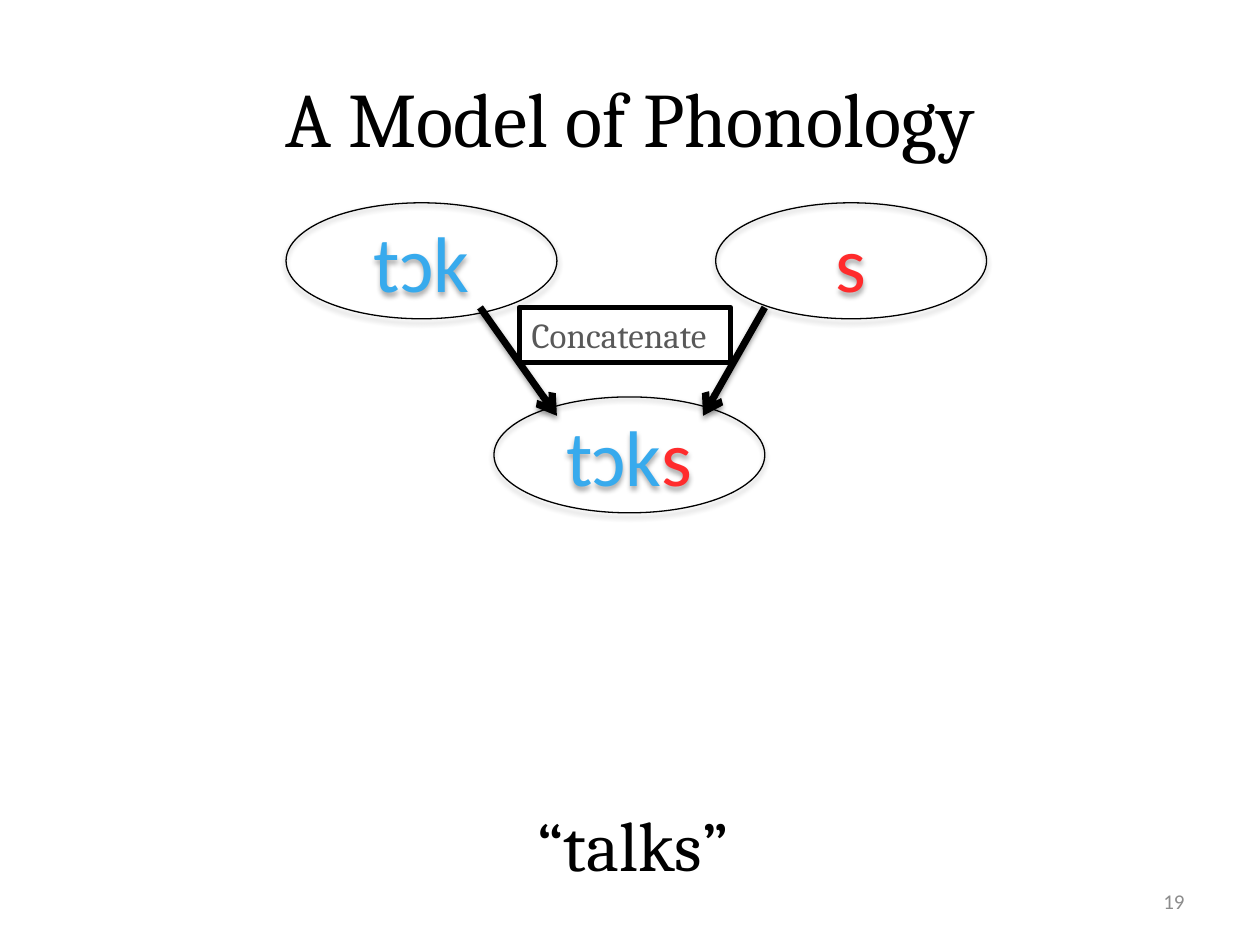
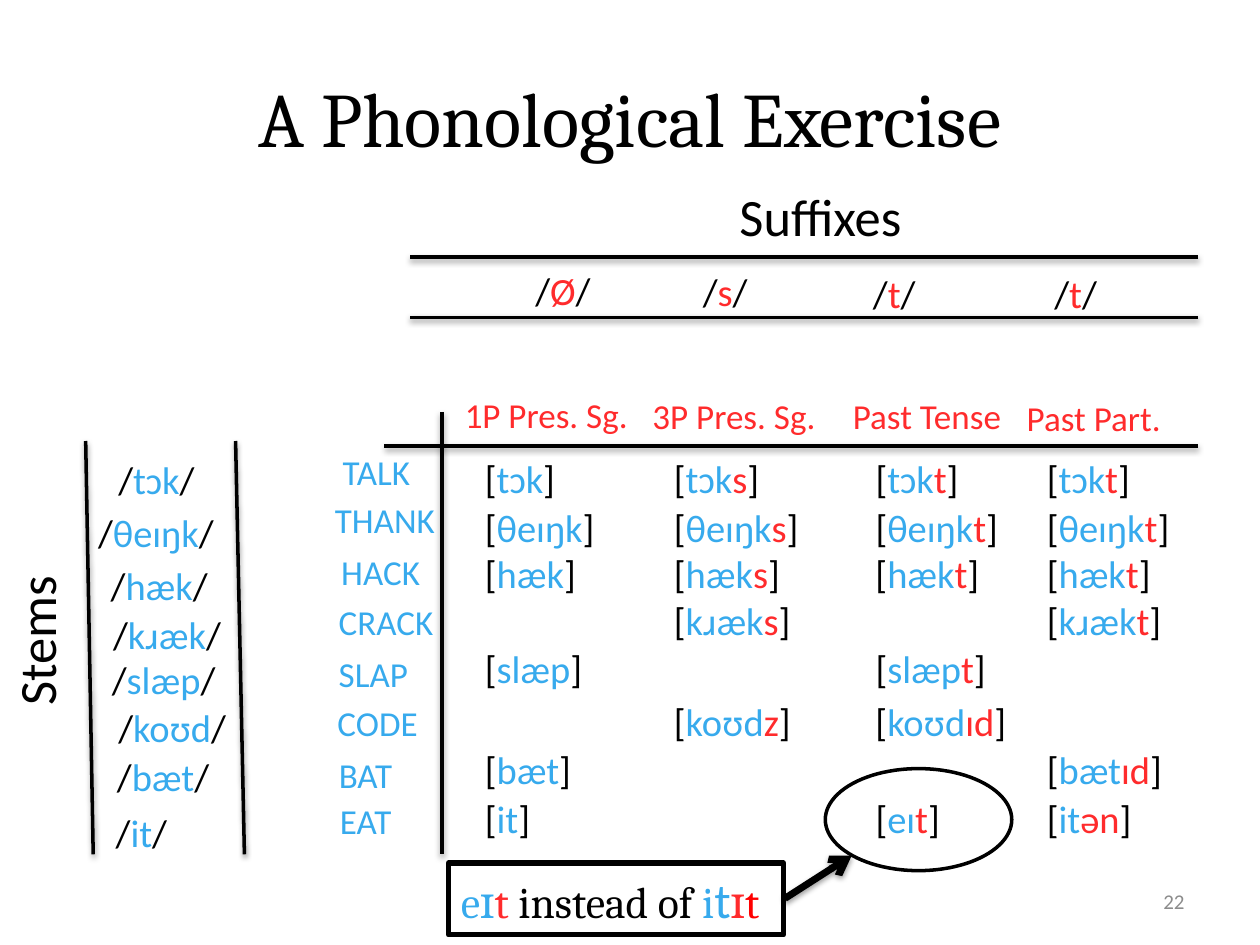
from dataclasses import dataclass
from pptx import Presentation
from pptx.dml.color import RGBColor
from pptx.enum.shapes import MSO_CONNECTOR, MSO_SHAPE
from pptx.enum.text import MSO_ANCHOR, MSO_AUTO_SIZE, PP_ALIGN
from pptx.oxml.ns import qn
from pptx.util import Inches, Pt
from lxml.etree import SubElement


@dataclass(frozen=True)
class Theme:
    ink: str = "000000"
    stem: str = "37AAED"
    end: str = "FF2B2C"
    pure: str = "FF0000"
    gray: str = "595959"
    pale: str = "8C8C8C"
    paper: str = "FFFFFF"
    serif: str = "Cambria"
    sans: str = "Calibri"
    title: int = 44
    sound: int = 45
    quote: int = 40
    head: int = 30
    note: int = 25
    big: int = 28
    cell: int = 22
    label: int = 20
    foot: int = 12
    hair: float = 0.75
    rule: int = 2
    frame: int = 3
    arrow: int = 4


look = Theme()
deck = Presentation()
deck.slide_width, deck.slide_height = Inches(10), Inches(7.5)
unit = deck.slide_width / 100


def text(page, box, runs, size=look.cell, face=look.sans, align=PP_ALIGN.LEFT,
         anchor=MSO_ANCHOR.TOP, grow=True, wrap=False, form=None, fill=None,
         edge=None, shade=True, indent=0, turn=0):
    place = [round(n * unit) for n in box]
    if form is None:
        shape = page.shapes.add_textbox(*place)
    else:
        shape = page.shapes.add_shape(form, *place)
        if not shade:
            shape.shadow.inherit = False
    shape.rotation = turn
    if fill:
        shape.fill.solid()
        shape.fill.fore_color.rgb = RGBColor.from_string(fill)
    else:
        shape.fill.background()
    if edge:
        shape.line.color.rgb = RGBColor.from_string(look.ink)
        shape.line.width = Pt(edge)
    frame = shape.text_frame
    frame.word_wrap = wrap
    frame.auto_size = MSO_AUTO_SIZE.SHAPE_TO_FIT_TEXT if grow else MSO_AUTO_SIZE.NONE
    frame.vertical_anchor = anchor
    para = frame.paragraphs[0]
    para.alignment = align
    if indent:
        para._p.get_or_add_pPr().set("marL", str(round(indent * unit)))
    for words, tint, *other in runs:
        run = para.add_run()
        run.text = words
        run.font.size = Pt(other[0] if other else size)
        run.font.name = other[1] if other else face
        run.font.color.rgb = RGBColor.from_string(tint)


def line(page, ends, width=look.rule, arrow=False):
    link = page.shapes.add_connector(MSO_CONNECTOR.STRAIGHT, *[round(n * unit) for n in ends])
    link.line.color.rgb = RGBColor.from_string(look.ink)
    link.line.width = Pt(width)
    if arrow:
        SubElement(link.line._get_or_add_ln(), qn("a:tailEnd"), type="arrow")


pages = []
for title, number in [("A Model of Phonology", "19"), ("A Phonological Exercise", "22")]:
    page = deck.slides.add_slide(deck.slide_layouts[6])
    text(page, (5, 3, 90, 12.5), [(title, look.ink)], size=look.title, face=look.serif,
         align=PP_ALIGN.CENTER, anchor=MSO_ANCHOR.MIDDLE, grow=False, wrap=True)
    text(page, (71.7, 69.5, 23.3, 4), [(number, look.pale)], size=look.foot,
         align=PP_ALIGN.RIGHT, anchor=MSO_ANCHOR.MIDDLE, grow=False, wrap=True)
    pages.append(page)
model, drill = pages

root, tail = ("tɔk", look.stem), ("s", look.end)
for left, top, runs in [(22.7, 16.1, [root]), (56.8, 16.1, [tail]), (39.2, 31.5, [root, tail])]:
    text(model, (left, top, 21.5, 9.2), runs, size=look.sound, form=MSO_SHAPE.OVAL,
         edge=look.hair, align=PP_ALIGN.CENTER, anchor=MSO_ANCHOR.MIDDLE, grow=False, wrap=True)
for start, stop in [(60.7, 55.8), (38.1, 44.2)]:
    line(model, (start, 24.4, stop, 33), width=look.arrow, arrow=True)
text(model, (41.2, 24.4, 16.8, 4.4), [("Concatenate", look.gray)], size=look.label,
     face=look.serif, fill=look.paper, edge=look.frame)
text(model, (41.7, 63.1, 17.7, 7.7), [("“talks”", look.ink)], size=look.quote, face=look.serif)

for ends in [(35.1, 32.7, 35.1, 67.8), (95.1, 35.4, 30.5, 35.4), (95.1, 25.2, 32.5, 25.2),
             (95.1, 20.4, 32.5, 20.4), (18.7, 35, 19.4, 67.8), (6.8, 35, 7.4, 67.8)]:
    line(drill, ends)
text(drill, (57.7, 14.1, 15.1, 6.1), [("Suffixes", look.ink)], size=look.head)
text(drill, (-3.6, 47.5, 12.9, 6.1), [("Stems", look.ink)], size=look.head, turn=270)

heads = [("1P Pres. Sg.", 35.9, 30.7, 15.1), ("3P Pres. Sg.", 50.8, 30.8, 15.1),
         ("Past Tense", 66.7, 30.8, 14.2), ("Past Part.", 80.5, 31, 12.9)]
for words, left, top, width in heads:
    text(drill, (left, top, width, 4.4), [(words, look.end)], size=look.label)

marks = [("Ø", 36.5, 20.7, 13.5, 5), ("s", 54.8, 20.8, 6.9, 0),
         ("t", 68.3, 20.9, 6.7, 0), ("t", 82.7, 20.9, 6.7, 0)]
for mark, left, top, width, indent in marks:
    text(drill, (left, top, width, 4.7),
         [("/", look.ink), (mark, look.end), ("/", look.ink)], wrap=True, indent=indent)

widths = {"tɔk": 7.7, "θeɪŋk": 10.8, "hæk": 9.3, "kɹæk": 10.2, "slæp": 9.8, "koʊd": 10.3,
          "bæt": 9, "it": 5.7, "eɪ": 6.1, "": 0, "s": 1.2, "t": 1.1, "z": 1.2, "ɪd": 2.3, "ən": 3.1}
columns = [37.5, 52.5, 68.5, 82.1]
rows = [
    ("tɔk", 8.4, 35.7, "TALK", 26.2, 35.3, 7.8, 35.6, ["", "s", "t", "t"]),
    ("θeɪŋk", 6.8, 39.9, "THANK", 25.6, 39.1, 10.2, 39.5, ["", "s", "t", "t"]),
    ("hæk", 7.8, 44.1, "HACK", 26.1, 43.2, 8.5, 43.2, ["", "s", "t", "t"]),
    ("kɹæk", 8, 48, "CRACK", 25.9, 47.2, 9.7, 46.9, [None, "s", None, "t"]),
    ("slæp", 7.9, 51.6, "SLAP", 25.9, 51.3, 7.6, 50.7, ["", None, "t", None]),
    ("koʊd", 8.4, 55.4, "CODE", 25.8, 55.2, 8.5, 54.9, [None, "z", "ɪd", None]),
    ("bæt", 8.3, 59.3, "BAT", 25.9, 59.3, 6.5, 58.7, ["", None, None, "ɪd"]),
    ("it", 8.2, 63.7, "EAT", 26, 63, 6.4, 62.6, ["", None, "t", "ən"]),
]
for stem, left, top, label, edge, high, wide, level, tails in rows:
    text(drill, (left, top, widths[stem] + 0.5, 4.7),
         [("/", look.ink), (stem, look.stem), ("/", look.ink)])
    text(drill, (edge, high, wide, 4.4), [(label, look.stem)], size=look.label)
    for column, tail in zip(columns, tails):
        if tail is None:
            continue
        base = "eɪ" if (stem, tail) == ("it", "t") else stem
        runs = [("[", look.ink), (base, look.stem), (tail, look.end), ("]", look.ink)]
        text(drill, (column, level, widths[base] + widths[tail], 4.7),
             [run for run in runs if run[0]])

text(drill, (65.5, 61, 14.8, 8.1), [], form=MSO_SHAPE.OVAL, edge=look.rule, shade=False, grow=False)
text(drill, (35.6, 68.5, 26.6, 5.7),
     [("eɪ", look.stem), ("t ", look.end), ("instead of ", look.ink), ("i", look.stem),
      ("t", look.stem, look.big, look.sans), ("ɪ", look.end), ("t", look.pure)],
     size=look.note, face=look.serif, edge=look.frame, wrap=True)
line(drill, (62.3, 71.3, 67.6, 67.9), width=look.arrow, arrow=True)

deck.save("out.pptx")
